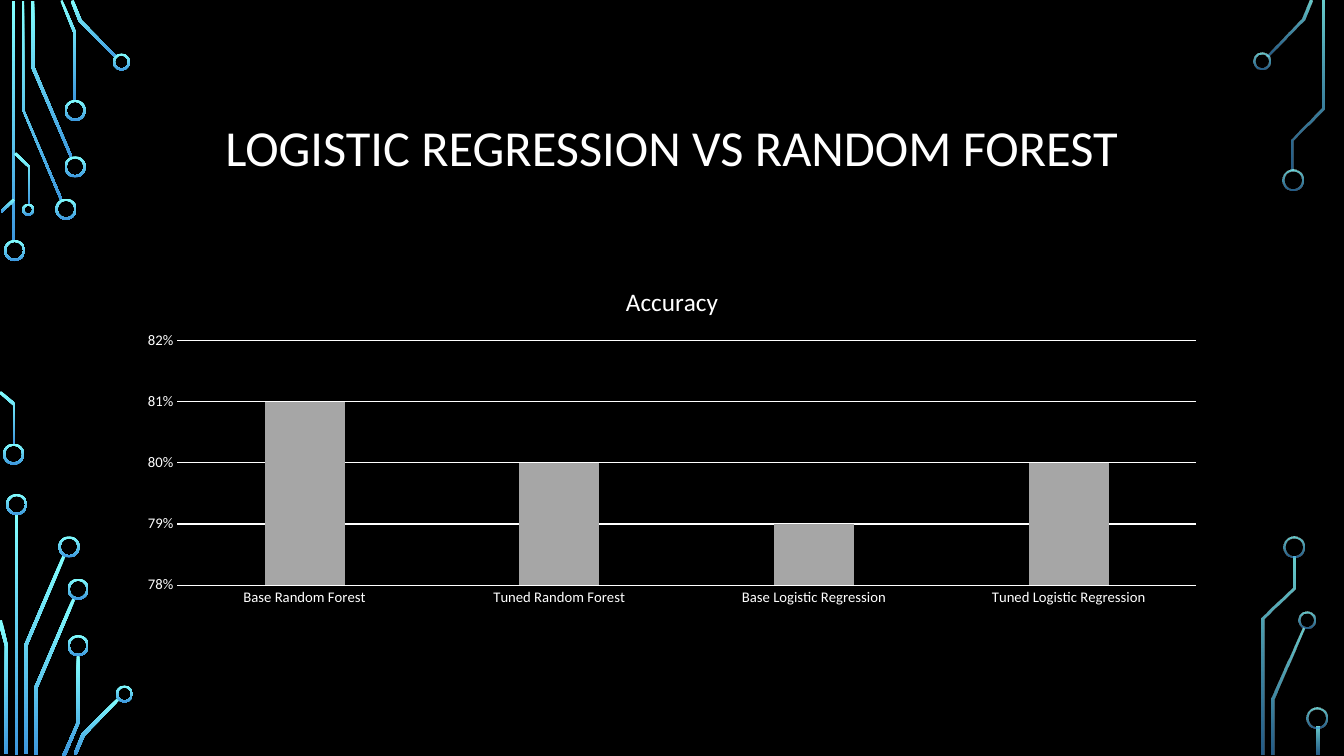
from lxml.etree import SubElement as add_sub
from pptx import Presentation
from pptx.chart.data import CategoryChartData as ChartData
from pptx.dml.color import RGBColor as Rgb
from pptx.enum.chart import XL_CHART_TYPE as Kind, XL_TICK_MARK as Tick
from pptx.enum.shapes import MSO_SHAPE as Preset
from pptx.enum.text import MSO_ANCHOR as Anchor, PP_ALIGN as Align
from pptx.oxml.ns import qn
from pptx.util import Pt

PX = 9144  # 100 px to the inch
FONT = "Calibri"
WHITE = "FFFFFF"
GLOW = ("82FFFF", "3D97DE")
FULL = (100, 100)
DIM = (80, 60)

# Bars: left, top, width, height
LEFT_BARS = [(12, 1, 3, 239), (15, 510, 3, 239)]
RIGHT_BARS = [(1306, 721, 3, 28)]

# Rings: left, top, size
LEFT_RINGS = [
    (4, 238, 21), (3, 440, 21), (55, 197, 21), (64, 155, 21), (64, 99, 21),
    (112, 53, 17), (22, 202, 12), (6, 490, 21), (58, 532, 21),
    (67, 574, 21), (67, 630, 21), (115, 680, 17),
]
RIGHT_RINGS = [
    (1243, 52, 17), (1272, 168, 21), (1288, 607, 17),
    (1273, 532, 21), (1296, 702, 21),
]

# Traces: corner points of each outline
LEFT_TRACES = [
    [(60, 199), (22, 109), (22, 1), (24, 1), (24, 109), (62, 198)],
    [(70, 157), (31, 67), (31, 1), (34, 1), (34, 66), (72, 156)],
    [(76, 100), (73, 100), (73, 33), (60, 1), (62, 0), (76, 33)],
    [(115, 58), (78, 21), (70, 1), (73, 0), (81, 20), (116, 56)],
    [(2, 211), (1, 209), (13, 197), (15, 199)],
    [(15, 441), (13, 441), (13, 402), (-1, 390), (1, 388), (15, 400)],
    [(30, 203), (28, 203), (28, 166), (14, 153), (16, 151), (30, 165)],
    [(27, 748), (24, 748), (24, 640), (62, 551), (65, 552), (27, 641)],
    [(8, 748), (5, 748), (5, 641), (-2, 616), (2, 615), (8, 641)],
    [(37, 749), (34, 749), (34, 682), (72, 593), (75, 594), (37, 683)],
    [(65, 750), (62, 749), (76, 717), (76, 650), (79, 650), (79, 717)],
    [(76, 749), (73, 748), (81, 728), (117, 692), (119, 694), (84, 730)],
]
RIGHT_TRACES = [
    [(1258, 56), (1256, 55), (1291, 19), (1299, 0), (1302, 1), (1294, 20)],
    [(1264, 749), (1261, 749), (1261, 693), (1292, 623), (1294, 624),
     (1264, 694)],
    [(1283, 169), (1281, 169), (1281, 138), (1311, 107), (1311, 1),
     (1314, 1), (1314, 108), (1283, 139)],
    [(1254, 749), (1251, 749), (1251, 613), (1282, 583), (1282, 552),
     (1285, 552), (1285, 584), (1254, 614)],
]


def rgb(code):
    return Rgb.from_string(code)


def box(*dims):
    return [n * PX for n in dims]


def style(font, size):
    font.name = FONT
    font.size = Pt(size)
    font.color.rgb = rgb(WHITE)


def glow(shape, alphas):
    shape.shadow.inherit = False
    shape.line.fill.background()
    fill = shape.fill
    fill.gradient()
    fill.gradient_angle = 270
    for stop, code in zip(fill.gradient_stops, GLOW):
        stop.color.rgb = rgb(code)
    if alphas != FULL:
        for node, alpha in zip(shape._element.iter(qn("a:srgbClr")), alphas):
            add_sub(node, qn("a:alpha"), val=str(alpha * 1000))


def add_bar(shapes, dims, alphas):
    glow(shapes.add_shape(Preset.RECTANGLE, *box(*dims)), alphas)


def add_ring(shapes, left, top, size, alphas):
    ring = shapes.add_shape(Preset.DONUT, *box(left, top, size, size))
    ring.adjustments[0] = 2 / size
    glow(ring, alphas)


def add_trace(shapes, points, alphas):
    pen = shapes.build_freeform(*points[0], scale=PX)
    pen.add_line_segments(points[1:], close=True)
    glow(pen.convert_to_shape(), alphas)


def add_board(shapes, bars, traces, rings, alphas):
    for dims in bars:
        add_bar(shapes, dims, alphas)
    for points in traces:
        add_trace(shapes, points, alphas)
    for ring in rings:
        add_ring(shapes, *ring, alphas)


def add_title(shapes, text):
    frame = shapes.add_textbox(*box(125, 68, 1083, 162)).text_frame
    frame.word_wrap = True
    frame.vertical_anchor = Anchor.MIDDLE
    para = frame.paragraphs[0]
    para.alignment = Align.CENTER
    para.line_spacing = 0.9
    run = para.add_run()
    run.text = text
    style(run.font, 36)


def set_axis(axis):
    axis.major_tick_mark = axis.minor_tick_mark = Tick.NONE
    style(axis.tick_labels.font, 10.5)


def white_line(line):
    line.color.rgb = rgb(WHITE)
    line.width = Pt(0.75)


def add_columns(shapes, name, scores):
    data = ChartData(number_format="0%")
    data.categories = list(scores)
    data.add_series(name, list(scores.values()))
    dims = box(125, 265, 1083, 344)
    chart = shapes.add_chart(Kind.COLUMN_CLUSTERED, *dims, data).chart
    style(chart.font, 10)
    chart.has_legend = False

    # Heading
    chart.has_title = True
    chart.chart_title.include_in_layout = False
    run = chart.chart_title.text_frame.paragraphs[0].add_run()
    run.text = name
    style(run.font, 18)
    run.font.bold = False

    # Columns
    plot = chart.plots[0]
    plot.vary_by_categories = False
    plot.gap_width = 219
    plot.overlap = -27
    fill = plot.series[0].format.fill
    fill.solid()
    fill.fore_color.rgb = rgb("A6A6A6")

    # Axes
    cats, vals = chart.category_axis, chart.value_axis
    set_axis(cats)
    white_line(cats.format.line)
    set_axis(vals)
    vals.format.line.fill.background()
    white_line(vals.major_gridlines.format.line)
    vals.minimum_scale, vals.maximum_scale = 0.78, 0.82
    vals.major_unit = 0.01
    vals.tick_labels.number_format = "0%"
    vals.tick_labels.number_format_is_linked = False


def main():
    deck = Presentation()
    deck.slide_width, deck.slide_height = box(1333, 750)
    slide = deck.slides.add_slide(deck.slide_layouts[6])
    back = slide.background.fill
    back.solid()
    back.fore_color.rgb = rgb("000000")

    # Circuit edges
    shapes = slide.shapes
    add_board(shapes, LEFT_BARS, LEFT_TRACES, LEFT_RINGS, FULL)
    add_board(shapes, RIGHT_BARS, RIGHT_TRACES, RIGHT_RINGS, DIM)

    # Title and chart
    add_title(shapes, "LOGISTIC REGRESSION VS RANDOM FOREST")
    add_columns(shapes, "Accuracy", {
        "Base Random Forest": 0.81,
        "Tuned Random Forest": 0.8,
        "Base Logistic Regression": 0.79,
        "Tuned Logistic Regression": 0.8,
    })
    deck.save("out.pptx")


if __name__ == "__main__":
    main()
